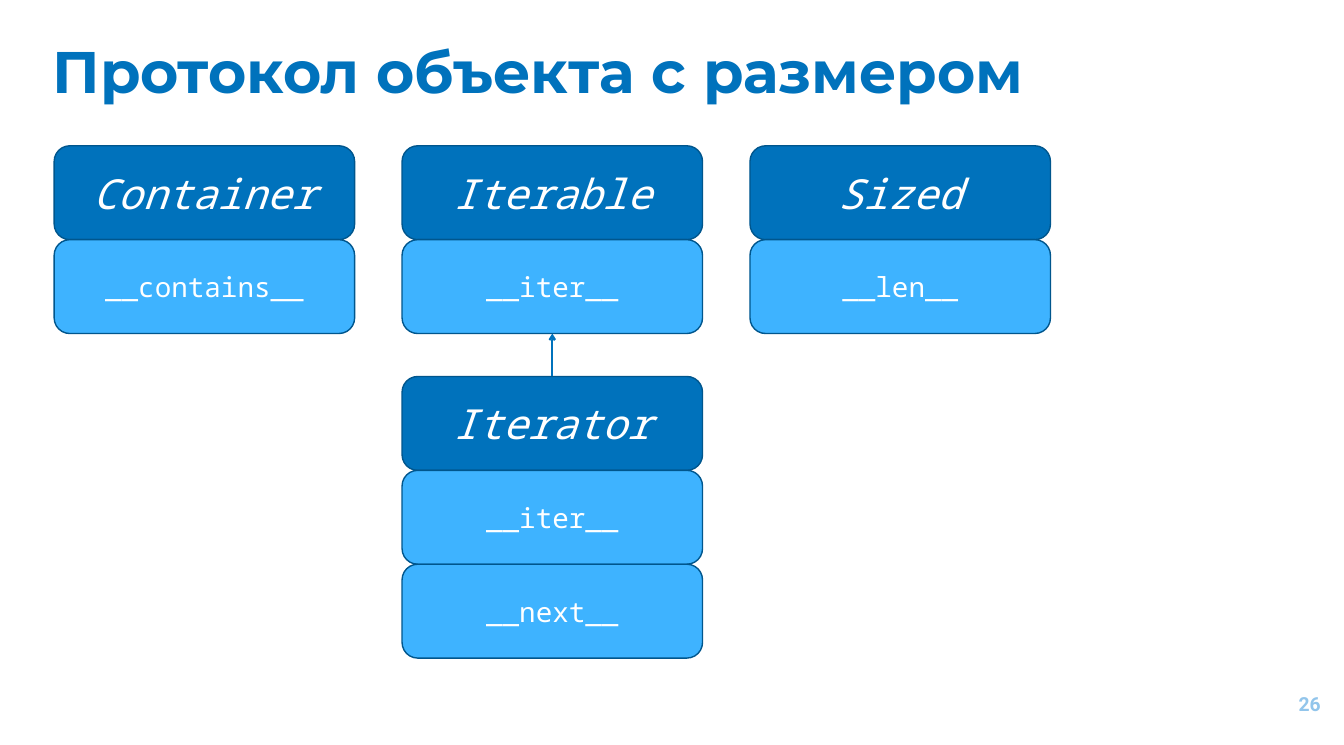
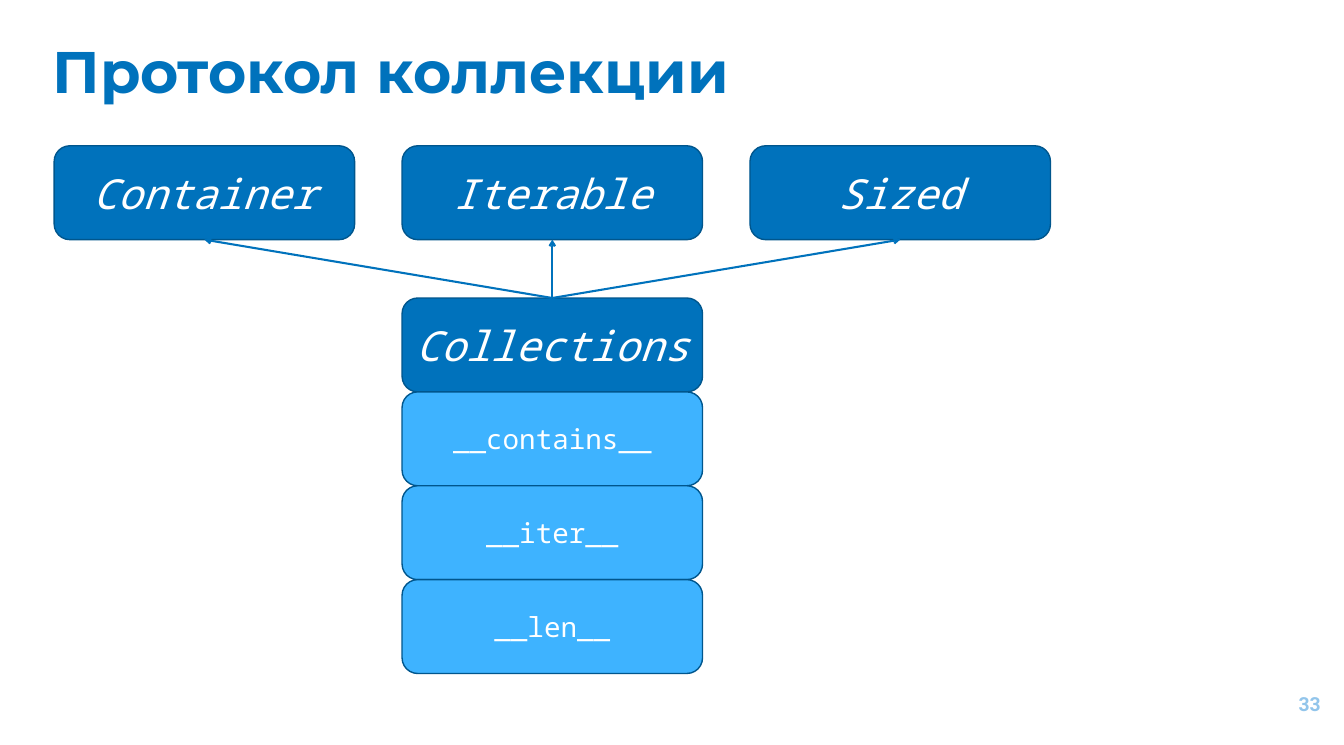
from dataclasses import dataclass

from pptx import Presentation
from pptx.dml.color import RGBColor
from pptx.enum.shapes import MSO_CONNECTOR, MSO_SHAPE
from pptx.enum.text import MSO_ANCHOR, PP_ALIGN
from pptx.oxml.ns import qn
from pptx.shapes.autoshape import Shape
from pptx.slide import Slide
from pptx.util import Inches, Pt
from lxml import etree

ROUNDED = MSO_SHAPE.FLOWCHART_ALTERNATE_PROCESS
STRAIGHT = MSO_CONNECTOR.STRAIGHT
TOP, MIDDLE = MSO_ANCHOR.TOP, MSO_ANCHOR.MIDDLE
LEFT, CENTER, RIGHT = PP_ALIGN.LEFT, PP_ALIGN.CENTER, PP_ALIGN.RIGHT

BLUE, SKY, NAVY, PALE, WHITE = "0072BC", "3EB3FF", "00568D", "92C5EB", "FFFFFF"
TITLE_FONT, CODE_FONT, NUMBER_FONT = "Montserrat", "Noto Sans Mono", "Roboto"

BOX_WIDTH, BOX_HEIGHT = 6.05, 1.89
FIRST_COLUMN, COLUMN_STEP = 1.09, 7.005
FIRST_ROW = 2.935
TOP_SITE, BOTTOM_SITE = 0, 2


@dataclass(frozen=True)
class Protocol:
    """A protocol name with its methods, placed in a column."""

    name: str
    methods: tuple[str, ...]
    column: int
    top: float = FIRST_ROW
    parents: tuple[str, ...] = ()


@dataclass(frozen=True)
class Page:
    """The title, number and protocols of one slide."""

    title: str
    title_width: float
    number: int
    protocols: tuple[Protocol, ...]


PAGES = (
    Page("Протокол объекта с размером", 23.19, 26, (
        Protocol("Container", ("__contains__",), 0),
        Protocol("Iterable", ("__iter__",), 1),
        Protocol("Iterator", ("__iter__", "__next__"), 1, 7.58, ("Iterable",)),
        Protocol("Sized", ("__len__",), 2),
    )),
    Page("Протокол коллекции", 15.68, 33, (
        Protocol("Container", (), 0),
        Protocol("Iterable", (), 1),
        Protocol("Sized", (), 2),
        Protocol("Collections", ("__contains__", "__iter__", "__len__"), 1, 6,
                 ("Iterable", "Container", "Sized")),
    )),
)


def color(value: str) -> RGBColor:
    """Turn a hex string into a colour."""
    return RGBColor.from_string(value)


def write(shape: Shape, text: str, *, size: float, font: str, ink: str,
          bold: bool = False, italic: bool = False,
          align: PP_ALIGN = LEFT, anchor: MSO_ANCHOR = MIDDLE) -> None:
    """Write one formatted paragraph into a shape."""
    frame = shape.text_frame
    frame.word_wrap = True
    frame.vertical_anchor = anchor
    para = frame.paragraphs[0]
    para.alignment = align
    span = para.add_run()
    span.text = text
    span.font.size = Pt(size)
    span.font.name = font
    span.font.bold = bold
    span.font.italic = italic
    span.font.color.rgb = color(ink)


def add_text_box(slide: Slide, left: float, top: float,
                 width: float, height: float) -> Shape:
    """Add a text box with even margins."""
    box = slide.shapes.add_textbox(Inches(left), Inches(top), Inches(width), Inches(height))
    frame = box.text_frame
    frame.margin_left = frame.margin_right = Inches(0.1)
    frame.margin_top = frame.margin_bottom = Inches(0.1)
    return box


def add_box(slide: Slide, column: int, top: float, fill: str) -> Shape:
    """Add one rounded box in a column."""
    left = FIRST_COLUMN + column * COLUMN_STEP
    box = slide.shapes.add_shape(ROUNDED, Inches(left), Inches(top),
                                 Inches(BOX_WIDTH), Inches(BOX_HEIGHT))
    box.shadow.inherit = False
    box.fill.solid()
    box.fill.fore_color.rgb = color(fill)
    box.line.color.rgb = color(NAVY)
    box.line.width = Pt(2)
    return box


def add_protocol(slide: Slide, protocol: Protocol) -> tuple[Shape, Shape]:
    """Stack a protocol and return its first and last boxes."""
    first = last = add_box(slide, protocol.column, protocol.top, BLUE)
    write(first, protocol.name, size=60, font=CODE_FONT, ink=WHITE, italic=True, align=CENTER)
    for row, method in enumerate(protocol.methods, 1):
        last = add_box(slide, protocol.column, protocol.top + row * BOX_HEIGHT, SKY)
        write(last, method, size=40, font=CODE_FONT, ink=WHITE, align=CENTER)
    return first, last


def add_arrow(slide: Slide, child: Shape, parent: Shape) -> None:
    """Connect a child's top to its parent's bottom."""
    arrow = slide.shapes.add_connector(STRAIGHT, 0, 0, 0, 0)
    arrow.begin_connect(child, TOP_SITE)
    arrow.end_connect(parent, BOTTOM_SITE)
    arrow.line.color.rgb = color(BLUE)
    arrow.line.width = Pt(3)
    etree.SubElement(arrow.line._get_or_add_ln(), qn("a:tailEnd"), type="arrow")
    etree.SubElement(arrow._element.spPr, qn("a:effectLst"))


def add_page(deck: Presentation, page: Page) -> None:
    """Add one slide with its title, number and diagram."""
    slide = deck.slides.add_slide(deck.slide_layouts[6])
    title = add_text_box(slide, 0.96, 0.61, page.title_width, 1.92)
    write(title, page.title, size=85, font=TITLE_FONT, ink=BLUE, bold=True, anchor=TOP)
    number = add_text_box(slide, 25.07, 13.6, 1.62, 1.15)
    write(number, str(page.number), size=28, font=NUMBER_FONT, ink=PALE, bold=True, align=RIGHT)
    stacks = {protocol.name: add_protocol(slide, protocol) for protocol in page.protocols}
    for protocol in page.protocols:
        for parent in protocol.parents:
            add_arrow(slide, stacks[protocol.name][0], stacks[parent][1])


def main() -> None:
    """Build and save the deck."""
    deck = Presentation()
    deck.slide_width = Inches(27.06)
    deck.slide_height = Inches(15)
    for page in PAGES:
        add_page(deck, page)
    deck.save("out.pptx")


if __name__ == "__main__":
    main()
